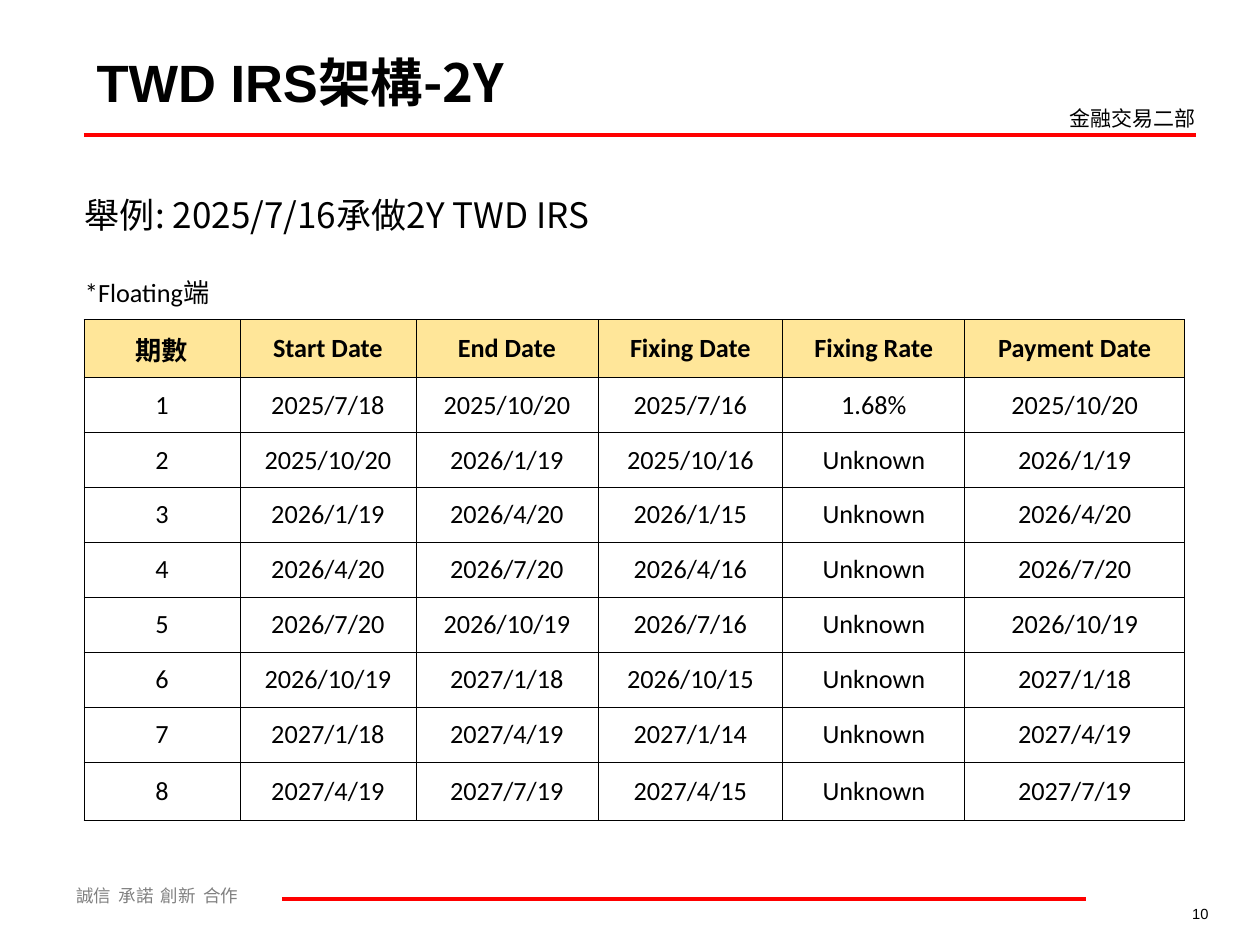
from lxml import etree
from pptx import Presentation
from pptx import util as u
from pptx.dml.color import RGBColor
from pptx.enum import shapes, text
from pptx.oxml.ns import qn

C = {"ink": "000000", "red": "FF0000", "grey": "808080", "header": "FFE699"}
SC, TC = "Noto Sans CJK SC", "Noto Sans CJK TC"
NO_STYLE = "{2D5ABB26-0587-4C30-8999-92F81FD0307C}"

TITLE = [("TWD IRS", "Arial"), ("架構-2Y", SC)]
MOTTO = ["誠信", "承諾", "創新", "合作"]
DEPARTMENT = "金融交易二部"
PAGE = "10"
EXAMPLE = "舉例: 2025/7/16承做2Y TWD IRS"
LEG = "*Floating端"
HEADERS = ["期數", "Start Date", "End Date", "Fixing Date", "Fixing Rate", "Payment Date"]
DATES = ["2025/7/18", "2025/10/20", "2026/1/19", "2026/4/20", "2026/7/20",
         "2026/10/19", "2027/1/18", "2027/4/19", "2027/7/19"]
FIXINGS = ["2025/7/16", "2025/10/16", "2026/1/15", "2026/4/16", "2026/7/16",
           "2026/10/15", "2027/1/14", "2027/4/15"]
FIRST_RATE, LATER_RATE = "1.68%", "Unknown"
COLS = [156, 176, 182, 185, 182, 220]
ROWS = [86, 58, 58] + [55] * 7 + [58]
RULES = [(84, 135, 1196), (282, 899, 1086)]


def px(n):
    return u.Emu(round(n * 914400 / 126))


def rgb(name):
    return RGBColor.from_string(C[name])


def add_run(p, words, size, font, color="ink", bold=False, east=None):
    r = p.add_run()
    r.text = words
    r.font.size, r.font.name, r.font.bold = u.Pt(size), font, bold
    r.font.color.rgb = rgb(color)
    etree.SubElement(r._r.get_or_add_rPr(), qn("a:ea"), typeface=east or font)
    return r


def add_box(s, x, y, w, h):
    tf = s.shapes.add_textbox(px(x), px(y), px(w), px(h)).text_frame
    tf.word_wrap = True
    return tf.paragraphs[0]


def add_rule(s, x1, y, x2):
    line = s.shapes.add_connector(shapes.MSO_CONNECTOR.STRAIGHT, px(x1), px(y), px(x2), px(y))
    line.line.color.rgb = rgb("red")
    line.line.width = u.Pt(2.25)
    etree.SubElement(line._element.spPr, qn("a:effectLst"))


def set_borders(cell, sides):
    tcPr = cell._tc.get_or_add_tcPr()
    for i, side in enumerate(sides):
        ln = etree.Element(qn("a:ln" + side), w=str(u.Pt(0.45)))
        fill = etree.SubElement(ln, qn("a:solidFill"))
        etree.SubElement(fill, qn("a:srgbClr"), val=C["ink"])
        tcPr.insert(i, ln)


def fill_cell(cell, words, size=15, font="Calibri", bold=False, align=text.PP_ALIGN.CENTER):
    cell.vertical_anchor = text.MSO_ANCHOR.MIDDLE
    cell.margin_left = cell.margin_right = px(1)
    p = cell.text_frame.paragraphs[0]
    p.alignment = align
    add_run(p, words, size, font, bold=bold, east=TC)


def add_schedule(s):
    t = s.shapes.add_table(len(ROWS), len(COLS), px(84), px(165),
                           px(sum(COLS)), px(sum(ROWS))).table
    t._tbl.tblPr[0].text = NO_STYLE
    t.first_row = t.horz_banding = False
    for col, w in zip(t.columns, COLS):
        col.width = px(w)
    for row, h in zip(t.rows, ROWS):
        row.height = px(h)
    t.cell(0, 0).merge(t.cell(0, 2))
    fill_cell(t.cell(0, 0), EXAMPLE, 20, TC, align=text.PP_ALIGN.LEFT)
    fill_cell(t.cell(1, 0), LEG, align=text.PP_ALIGN.LEFT)

    periods = [[str(i + 1), DATES[i], DATES[i + 1], fixing,
                LATER_RATE if i else FIRST_RATE, DATES[i + 1]]
               for i, fixing in enumerate(FIXINGS)]
    for i, values in enumerate([HEADERS] + periods, 2):
        for j, value in enumerate(values):
            fill_cell(t.cell(i, j), value, bold=i == 2)

    for i in range(len(ROWS)):
        for j in range(len(COLS)):
            cell = t.cell(i, j)
            if i == 2:
                cell.fill.solid()
                cell.fill.fore_color.rgb = rgb("header")
            else:
                cell.fill.background()
            set_borders(cell, "LRTB" if i > 1 else "B" * i)


def main():
    prs = Presentation()
    prs.slide_width, prs.slide_height = px(1260), px(945)
    s = prs.slides.add_slide(prs.slide_layouts[5])

    title = s.shapes.title
    title.left, title.top, title.width, title.height = px(84), px(38), px(922), px(87)
    tf = title.text_frame
    tf.vertical_anchor = text.MSO_ANCHOR.MIDDLE
    tf.paragraphs[0].alignment = text.PP_ALIGN.LEFT
    for words, font in TITLE:
        add_run(tf.paragraphs[0], words, 30, font, bold=True)

    for rule in RULES:
        add_rule(s, *rule)

    p = add_box(s, 64, 879, 318, 34)
    for i, word in enumerate(MOTTO):
        if i:
            gap = add_run(p, " ", 10, SC, "grey")
            gap._r.rPr.set("spc", "200")
        add_run(p, word, 10, SC, "grey")

    add_run(add_box(s, 1057, 99, 159, 38), DEPARTMENT, 12, SC)
    p = add_box(s, 1047, 899, 174, 30)
    p.alignment = text.PP_ALIGN.RIGHT
    add_run(p, PAGE, 8.4, "Arial")

    add_schedule(s)
    prs.save("out.pptx")


if __name__ == "__main__":
    main()
